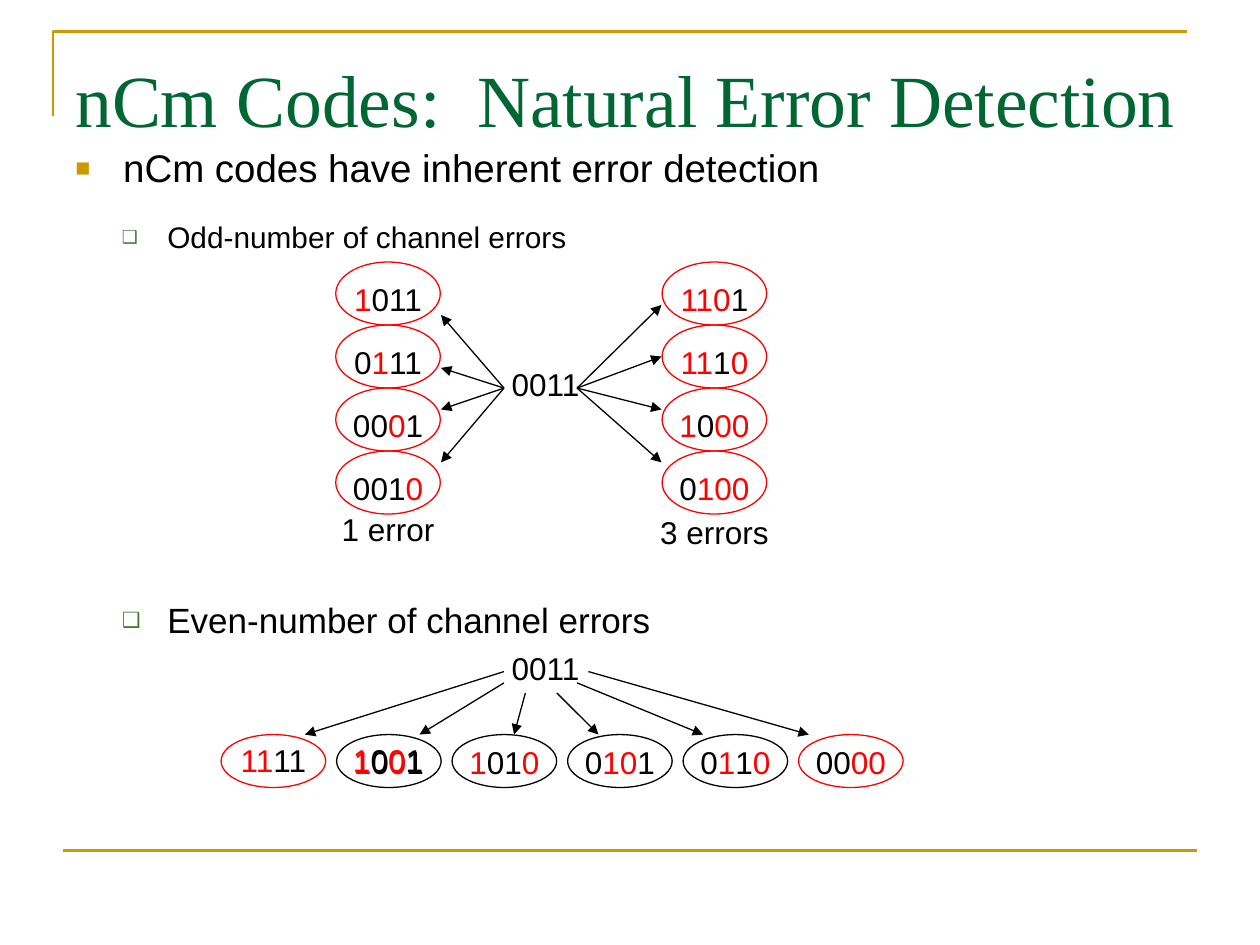
"""Build the slide on natural error detection in nCm codes."""
import lxml.etree
import pptx
import pptx.dml.color
import pptx.enum.shapes
import pptx.enum.text
import pptx.oxml.ns
import pptx.util

Inches = pptx.util.Inches
Pt = pptx.util.Pt
qn = pptx.oxml.ns.qn
SubElement = lxml.etree.SubElement
COLORS = {
    name: pptx.dml.color.RGBColor.from_string(value)
    for name, value in {"gold": "CC9900", "title": "006633", "green": "3B812F",
                        "black": "000000", "red": "FF0000"}.items()
}
SENT = "0011"

prs = pptx.Presentation()
prs.slide_width, prs.slide_height = Inches(10), Inches(7.5)
s = prs.slides.add_slide(prs.slide_layouts[6])


def add_text(box, runs, size=18, font="Arial", bullet=None, frame=None, align="CENTER"):
    tb = s.shapes.add_textbox(*map(Inches, box))
    tf = tb.text_frame
    for key, value in {"word_wrap": True, **(frame or {})}.items():
        setattr(tf, key, value)
    p = tf.paragraphs[0]
    p.alignment = pptx.enum.text.PP_ALIGN[align]
    if bullet:
        char, color, percent, margin, indent = bullet
        pPr = p._p.get_or_add_pPr()
        pPr.set("marL", str(Inches(margin)))
        pPr.set("indent", str(Inches(indent)))
        SubElement(SubElement(pPr, qn("a:buClr")), qn("a:srgbClr"), val=str(COLORS[color]))
        SubElement(pPr, qn("a:buSzPct"), val=str(percent * 1000))
        SubElement(pPr, qn("a:buFont"), typeface="Arial")
        SubElement(pPr, qn("a:buChar"), char=char)
    for text, color in runs:
        r = p.add_run()
        r.text = text
        for key, value in {"size": Pt(size), "name": font}.items():
            setattr(r.font, key, value)
        r.font.color.rgb = COLORS[color]


def add_line(start, end, color="black", width=0.75, arrow=True):
    c = s.shapes.add_connector(pptx.enum.shapes.MSO_CONNECTOR.STRAIGHT,
                               *map(Inches, (*start, *end)))
    c.line.color.rgb = COLORS[color]
    c.line.width = Pt(width)
    spPr = c._element.spPr
    if arrow:
        SubElement(spPr.find(qn("a:ln")), qn("a:tailEnd"), type="triangle")
    SubElement(spPr, qn("a:effectLst"))


fb = s.shapes.build_freeform(Inches(0.42), Inches(0.92))
fb.add_line_segments([(Inches(0.42), Inches(0.25)), (Inches(9.42), Inches(0.25))], close=False)
sp = fb.convert_to_shape()
sp.fill.background()
sp.shadow.inherit = False
sp.line.color.rgb = COLORS["gold"]
sp.line.width = Pt(1.5)
add_line((0.5, 6.75), (9.5, 6.75), "gold", 1.5, False)

add_text((0.5, 0.3, 9, 0.7), [("nCm Codes:  Natural Error Detection", "title")], 42,
         "Times New Roman", frame={"margin_top": Inches(0.13)}, align="LEFT")

square = ("■", "gold", 65, 0.38, -0.38)
box = ("❑", "green", 60, 0.73, -0.36)
for top, height, text, size, bullet in [
    (1.08, 0.5, "nCm codes have inherent error detection", 22, square),
    (1.67, 0.42, "Odd-number of channel errors", 17, box),
    (4.67, 0.5, "Even-number of channel errors", 20, box),
]:
    add_text((0.5, top, 9, height), [(text, "black")], size, bullet=bullet,
             frame={"vertical_anchor": pptx.enum.text.MSO_ANCHOR.MIDDLE}, align="LEFT")

words = [(3.83, 2.85, SENT), (3.83, 5.1, SENT)]
ovals = []
for left, column in [(2.58, ["1011", "0111", "0001", "0010"]),
                     (5.17, ["1101", "1110", "1000", "0100"])]:
    for row, word in enumerate(column):
        words.append((left, 2.17 + 0.5 * row, word))
        ovals.append((left + 0.085, 2.08 + 0.5 * row, 0.5, "red"))
for col, word in enumerate(["1111", "1001", "1010", "0101", "0110", "0000"]):
    left = 1.67 + 11 / 12 * col
    words.append((left, 5.83 if col == 0 else 5.85, word))
    ovals.append((left + 0.085, 5.83, 0.42, "red" if col in (0, 5) else "black"))
words.append((2.58, 5.83, "1001"))

for left, top, word in words:
    bits = [(bit, "black" if bit == sent else "red") for bit, sent in zip(word, SENT)]
    add_text((left, top, 1, 0.4), bits)
for left, top, height, color in ovals:
    sp = s.shapes.add_shape(pptx.enum.shapes.MSO_SHAPE.OVAL,
                            *map(Inches, (left, top, 0.83, height)))
    sp.fill.background()
    sp.shadow.inherit = False
    sp.line.color.rgb = COLORS[color]
    sp.line.width = Pt(0.75)

for start, x, ends in [((4, 3.08), 3.5, [2.5, 2.92, 3.25, 3.67]),
                       ((4.58, 3.08), 5.25, [2.42, 2.83, 3.25, 3.67])]:
    for y in ends:
        add_line(start, (x, y))
for start, x in [((4, 5.33), 2.42), ((4, 5.42), 3.33), ((4.17, 5.5), 4.08),
                 ((4.42, 5.5), 4.75), ((4.58, 5.42), 5.58), ((4.67, 5.33), 6.42)]:
    add_line(start, (x, 5.83))

for left, top, label in [(2.33, 4, "1 error"), (4.92, 4.02, "3 errors")]:
    add_text((left, top, 1.5, 0.4), [(label, "black")])

prs.save("out.pptx")
